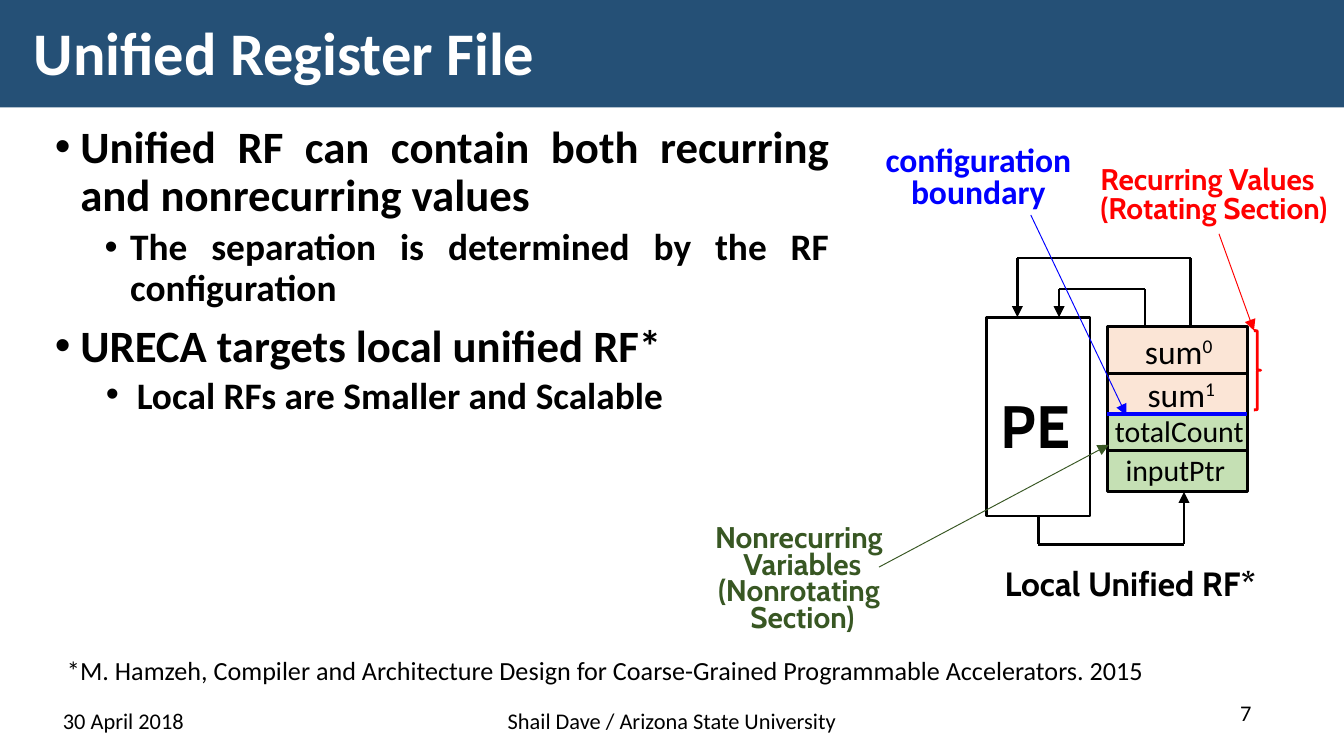
"""Build the Unified Register File slide on a square grid, 100 columns wide."""
from dataclasses import dataclass
from typing import Any, NamedTuple, Optional

from lxml.etree import SubElement
from pptx import Presentation
from pptx.dml.color import RGBColor
from pptx.enum.shapes import MSO_CONNECTOR, MSO_SHAPE
from pptx.enum.text import MSO_ANCHOR, MSO_AUTO_SIZE, PP_ALIGN
from pptx.oxml.ns import qn
from pptx.util import Inches, Pt

COLUMNS = 100
SLIDE_WIDTH = Inches(10)
SLIDE_HEIGHT = SLIDE_WIDTH * 9 // 16


@dataclass(frozen=True)
class Theme:
    header: str = "255076"
    white: str = "FFFFFF"
    black: str = "000000"
    blue: str = "0000FF"
    red: str = "FF0000"
    green: str = "385723"
    recurring: str = "FBE5D6"
    nonrecurring: str = "C5E0B4"
    body_font: str = "Calibri"
    label_font: str = "Cabin"
    bullet_font: str = "Arial"
    title: float = 32.4
    unit: float = 32
    point: float = 24
    subpoint: float = 20
    label: float = 18
    small: float = 16
    citation: float = 14
    footer: float = 12
    wire: float = 1.5
    boundary: float = 2.25
    pointer: float = 0.5


THEME = Theme()


class Area(NamedTuple):
    column: float
    row: float
    columns: float
    rows: float


class Point(NamedTuple):
    column: float
    row: float


@dataclass(frozen=True)
class Label:
    area: Area
    lines: tuple[str, ...]
    size: float
    color: str = THEME.black
    font: str = THEME.body_font
    bold: bool = False
    align: PP_ALIGN = PP_ALIGN.CENTER
    anchor: MSO_ANCHOR = MSO_ANCHOR.TOP
    spacing: float = 1.0
    superscript: str = ""


@dataclass(frozen=True)
class Bullet:
    text: str
    size: float
    level: int
    margin: float
    hanging: float
    spacing: float
    before: float


@dataclass(frozen=True)
class Box:
    area: Area
    fill: Optional[str] = None
    line: Optional[str] = None
    kind: MSO_SHAPE = MSO_SHAPE.RECTANGLE


@dataclass(frozen=True)
class Wire:
    points: tuple[Point, ...]
    color: str = THEME.black
    width: float = THEME.wire
    arrow: bool = True


REGISTERS = Area(82.4, 24.3, 10.4, 12.3)
UNIT = Area(73.4, 23.6, 7.7, 14.8)
LEFT, RIGHT = REGISTERS.column, REGISTERS.column + REGISTERS.columns
BOTTOM = REGISTERS.row + REGISTERS.rows
UNIT_CENTER = UNIT.column + UNIT.columns / 2
BOUNDARY = 30.8

SECTIONS = (
    Box(Area(LEFT, REGISTERS.row, REGISTERS.columns, BOUNDARY - REGISTERS.row), THEME.recurring),
    Box(Area(LEFT, BOUNDARY, REGISTERS.columns, BOTTOM - BOUNDARY), THEME.nonrecurring),
    Box(REGISTERS, line=THEME.black),
    Box(Area(93.3, 24.6, 0.5, 5.9), line=THEME.red, kind=MSO_SHAPE.RIGHT_BRACE),
)

RETURN_WIRE = Wire((Point(UNIT_CENTER, UNIT.row + UNIT.rows), Point(UNIT_CENTER, 40.5),
                    Point(88.1, 40.5), Point(88.1, BOTTOM)))
WIRES = (
    Wire((Point(88.6, REGISTERS.row), Point(88.6, 19.2), Point(75.7, 19.2), Point(75.7, UNIT.row))),
    Wire((Point(85.2, REGISTERS.row), Point(85.2, 21.5), Point(78.8, 21.5), Point(78.8, UNIT.row))),
    *(Wire((Point(LEFT, row), Point(RIGHT, row)), arrow=False) for row in (27.8, 33.5)),
    Wire((Point(LEFT, BOUNDARY), Point(RIGHT, BOUNDARY)), THEME.blue, THEME.boundary, False),
    Wire((Point(76.7, 16), Point(83.8, 30.9)), THEME.blue, THEME.pointer),
    Wire((Point(90.7, 17.4), Point(93.3, 24.6)), THEME.red, THEME.pointer),
    Wire((Point(65.4, 42.2), Point(82.5, 33.1)), THEME.green, THEME.pointer),
)

LABELS = (
    Label(Area(82.5, 24.1, 10.4, 4), ("sum",), THEME.label, superscript="0"),
    Label(Area(82.7, 27.3, 10.4, 4), ("sum",), THEME.label, superscript="1"),
    Label(Area(81.8, 30.2, 11.9, 3.7), ("totalCount",), THEME.small),
    Label(Area(82, 33.1, 10.9, 3.7), ("inputPtr",), THEME.small),
    Label(Area(72.8, 28.4, 8.5, 5.2), ("PE",), THEME.unit, font=THEME.label_font, bold=True),
    Label(Area(73.3, 41.4, 21.6, 4), ("Local Unified RF*",), THEME.label,
          font=THEME.label_font, bold=True),
    Label(Area(64.5, 10.4, 16.6, 5.9), ("configuration\vboundary",), THEME.label,
          THEME.blue, bold=True, spacing=0.8),
    Label(Area(80.9, 12, 19.6, 5.4), ("Recurring Values\v(Rotating Section)",), THEME.small,
          THEME.red, THEME.label_font, True, PP_ALIGN.LEFT, spacing=0.8),
    Label(Area(46.5, 38.7, 26.4, 9.2), ("Nonrecurring ", "Variables\v(Nonrotating \vSection)"),
          THEME.small, THEME.green, THEME.label_font, True, spacing=0.75),
    Label(Area(4, 48.2, 92.1, 3.4),
          ("*M. Hamzeh, Compiler and Architecture Design for Coarse-Grained "
           "Programmable Accelerators. 2015",), THEME.citation, align=PP_ALIGN.JUSTIFY),
    Label(Area(3.7, 52.1, 25.7, 3), ("30 April 2018",), THEME.footer,
          align=PP_ALIGN.LEFT, anchor=MSO_ANCHOR.BOTTOM),
    Label(Area(33.1, 52.1, 33.8, 3), ("Shail Dave / Arizona State University",), THEME.footer,
          anchor=MSO_ANCHOR.BOTTOM),
    Label(Area(70.6, 52.1, 23.5, 2.4), ("7",), THEME.footer,
          align=PP_ALIGN.RIGHT, anchor=MSO_ANCHOR.BOTTOM),
)
TITLE = Label(Area(1.5, 1, 97, 6.3), ("Unified Register File",), THEME.title, THEME.white,
              bold=True, align=PP_ALIGN.LEFT, anchor=MSO_ANCHOR.MIDDLE, spacing=0.9)
BULLETS = (
    Bullet("Unified RF can contain both recurring and nonrecurring values",
           THEME.point, 0, 0.19, 0.19, 0.9, 0),
    Bullet("The separation is determined by the RF configuration",
           THEME.subpoint, 1, 0.56, 0.19, 0.9, 3.8),
    Bullet("URECA targets local unified RF*", THEME.point, 0, 0.19, 0.19, 0.9, 7.5),
    Bullet("Local RFs are Smaller and Scalable", THEME.subpoint, 1, 0.61, 0.23, 1.0, 0),
)


def grid(cells: float) -> int:
    return round(SLIDE_WIDTH * cells / COLUMNS)


def place(area: Area) -> list[int]:
    return [grid(cells) for cells in area]


def apply_format(target: Any, values: dict[str, Any]) -> None:
    for name, value in values.items():
        setattr(target, name, value)


def format_font(font: Any, size: float, color: str, name: str, bold: bool) -> None:
    apply_format(font, {"size": Pt(size), "name": name, "bold": bold})
    font.color.rgb = RGBColor.from_string(color)


def write_label(shape: Any, label: Label) -> None:
    frame = shape.text_frame
    apply_format(frame, {"word_wrap": True, "auto_size": MSO_AUTO_SIZE.NONE,
                         "vertical_anchor": label.anchor})
    for index, line in enumerate(label.lines):
        paragraph = frame.add_paragraph() if index else frame.paragraphs[0]
        apply_format(paragraph, {"text": line, "alignment": label.align,
                                 "line_spacing": label.spacing})
        if label.superscript:
            run = paragraph.add_run()
            run.text = label.superscript
            run.font._element.set("baseline", "30000")
        for run in paragraph.runs:
            format_font(run.font, label.size, label.color, label.font, label.bold)


def write_bullets(slide: Any, area: Area, bullets: tuple[Bullet, ...]) -> None:
    frame = slide.shapes.add_textbox(*place(area)).text_frame
    frame.word_wrap = True
    for index, bullet in enumerate(bullets):
        paragraph = frame.add_paragraph() if index else frame.paragraphs[0]
        properties = paragraph._p.get_or_add_pPr()
        properties.set("marL", str(Inches(bullet.margin)))
        properties.set("indent", str(-Inches(bullet.hanging)))
        SubElement(properties, qn("a:buFont")).set("typeface", THEME.bullet_font)
        SubElement(properties, qn("a:buChar")).set("char", "•")
        apply_format(paragraph, {"text": bullet.text, "level": bullet.level,
                                 "alignment": PP_ALIGN.JUSTIFY, "line_spacing": bullet.spacing,
                                 "space_before": Pt(bullet.before)})
        format_font(paragraph.runs[0].font, bullet.size, THEME.black, THEME.body_font, True)


def draw_box(slide: Any, box: Box) -> Any:
    shape = slide.shapes.add_shape(box.kind, *place(box.area))
    shape.shadow.inherit = False
    for paint, color in ((shape.fill, box.fill), (shape.line.fill, box.line)):
        if color:
            paint.solid()
            paint.fore_color.rgb = RGBColor.from_string(color)
        else:
            paint.background()
    if box.line:
        shape.line.width = Pt(THEME.wire)
    return shape


def draw_wire(slide: Any, wire: Wire) -> list[Any]:
    connectors = []
    for start, end in zip(wire.points, wire.points[1:]):
        ends = [grid(cells) for cells in (*start, *end)]
        connector = slide.shapes.add_connector(MSO_CONNECTOR.STRAIGHT, *ends)
        connector.line.width = Pt(wire.width)
        connector.line.color.rgb = RGBColor.from_string(wire.color)
        SubElement(connector._element.spPr, qn("a:effectLst"))
        connectors.append(connector)
    if wire.arrow:
        SubElement(connectors[-1].line._get_or_add_ln(), qn("a:tailEnd")).set("type", "triangle")
    return connectors


def main() -> None:
    presentation = Presentation()
    apply_format(presentation, {"slide_width": SLIDE_WIDTH, "slide_height": SLIDE_HEIGHT})
    slide = presentation.slides.add_slide(presentation.slide_layouts[5])
    header = draw_box(slide, Box(Area(0, 0, COLUMNS, 8), THEME.header))
    slide.shapes._spTree.insert(2, header._element)
    title = slide.shapes.title
    apply_format(title, dict(zip(("left", "top", "width", "height"), place(TITLE.area))))
    write_label(title, TITLE)
    write_bullets(slide, Area(3.1, 8.8, 59.6, 38.3), BULLETS)
    for section in SECTIONS:
        draw_box(slide, section)
    unit = draw_box(slide, Box(UNIT, line=THEME.black))
    draw_wire(slide, RETURN_WIRE)[0].begin_connect(unit, 2)
    for wire in WIRES:
        draw_wire(slide, wire)
    for label in LABELS:
        write_label(slide.shapes.add_textbox(*place(label.area)), label)
    presentation.save("out.pptx")


if __name__ == "__main__":
    main()
